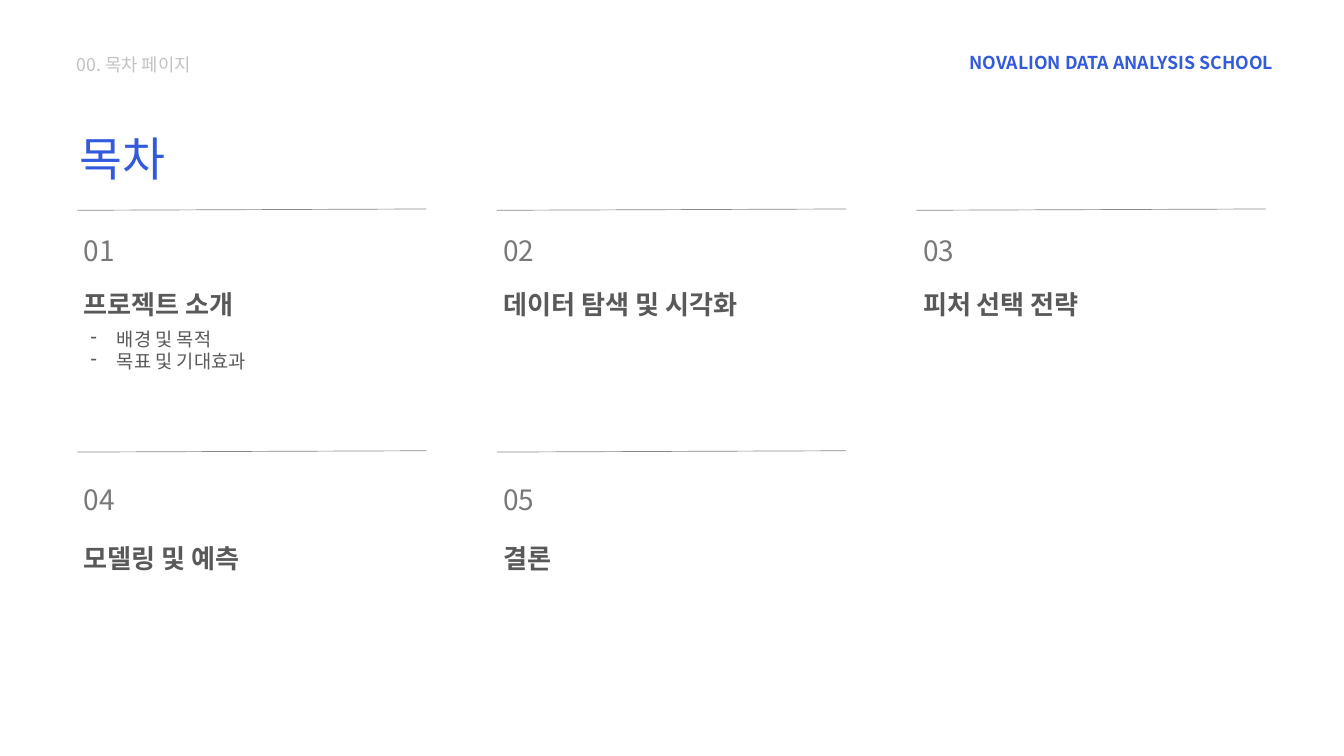
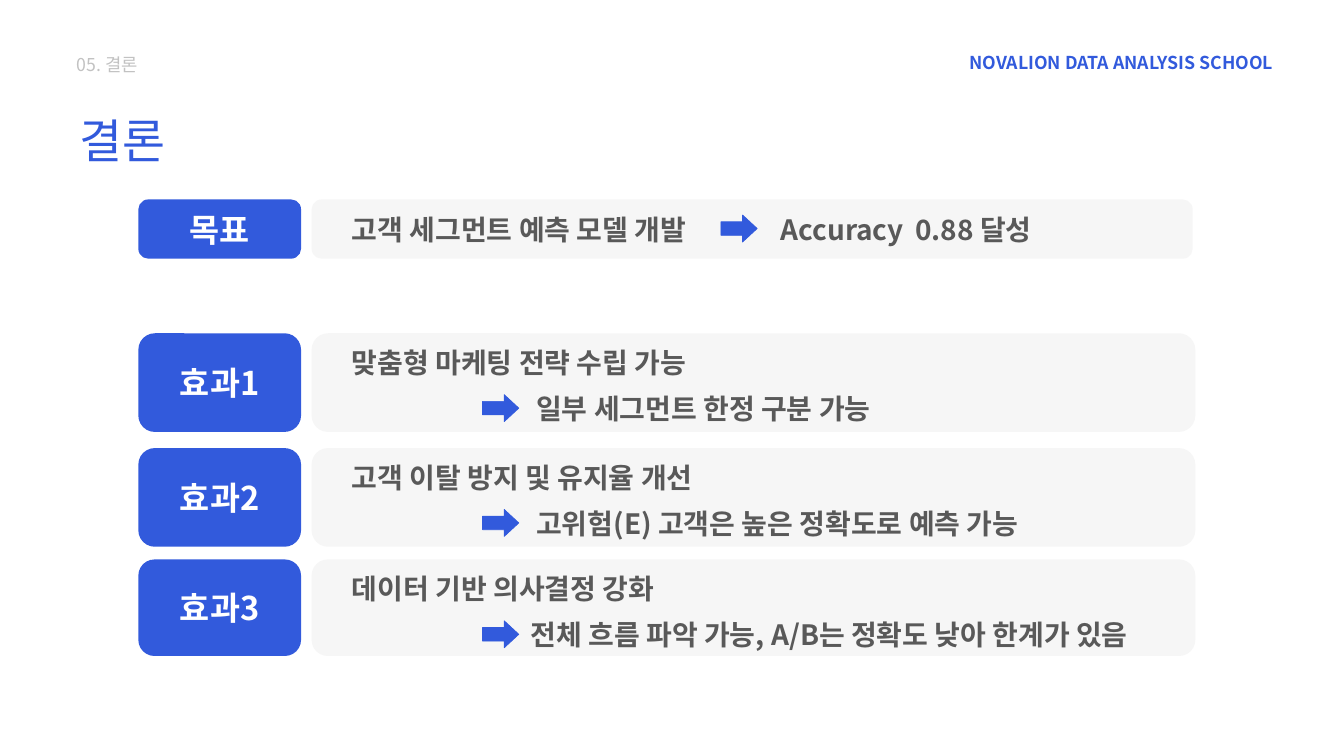
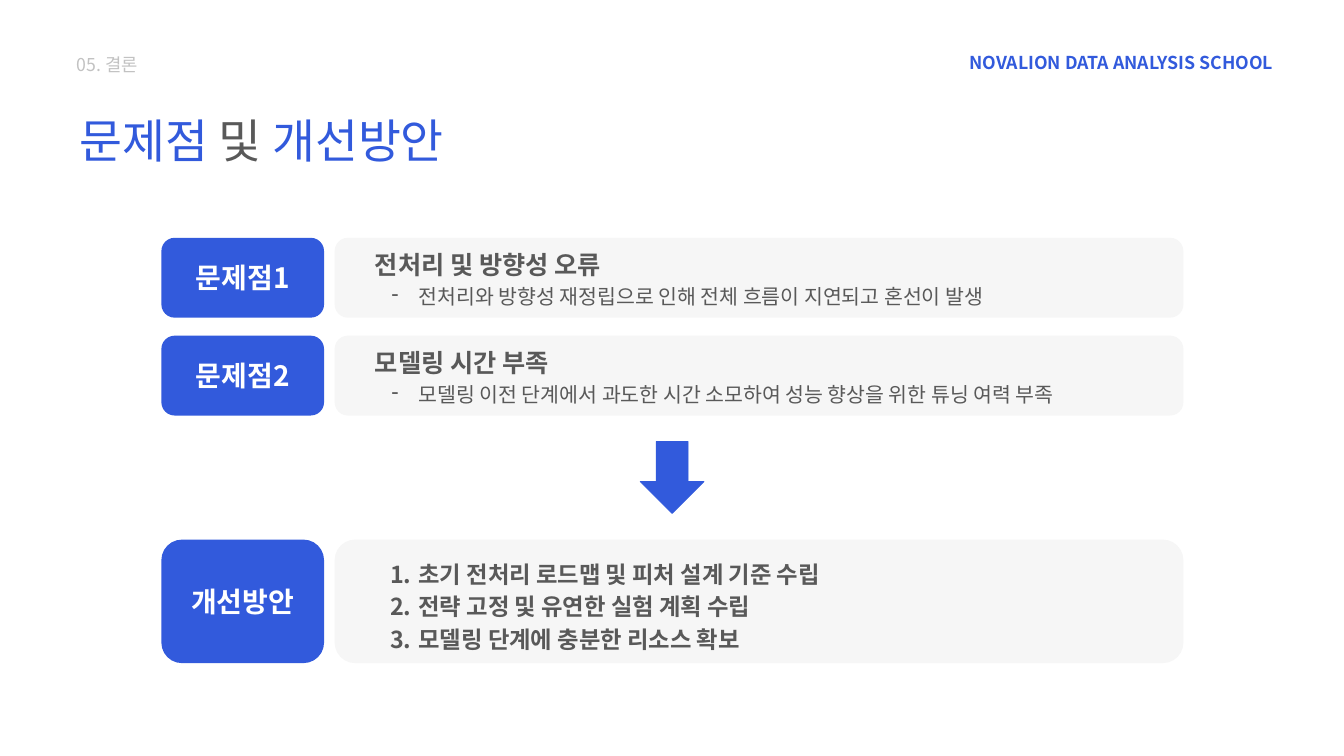
from lxml import etree
from pptx import Presentation
from pptx.dml.color import RGBColor
from pptx.enum import shapes, text
from pptx.oxml import ns
from pptx.util import Cm, Pt

FONT = "Noto Sans CJK KR"
COLORS = {
    "blue": "325ADC",
    "panel": "F6F6F6",
    "body": "595959",
    "number": "787878",
    "section": "C2C2C2",
    "rule": "888888",
    "white": "FFFFFF",
}
SCHOOL = "NOVALION DATA ANALYSIS SCHOOL"
INSET = 0.25
BADGE_WIDTH = 6.15
PANEL_OFFSET = 6.55  # from badge left to panel left


def color(name):
    return RGBColor.from_string(COLORS[name])


# --- Text ---

def style_run(run, size, color_name, bold=False):
    run.font.size = Pt(size)
    run.font.bold = bold
    run.font.color.rgb = color(color_name)
    run.font.name = FONT
    east_asian = etree.SubElement(run.font._element, ns.qn("a:ea"))
    east_asian.set("typeface", FONT)


def set_indent(paragraph, left, hanging=0.0, bullet=None):
    """Indent a paragraph; bullet is a character or "number"."""
    properties = paragraph._p.get_or_add_pPr()
    properties.set("marL", str(Cm(left)))
    properties.set("indent", str(Cm(-hanging)))
    if bullet:
        bullet_color = etree.SubElement(properties, ns.qn("a:buClr"))
        etree.SubElement(bullet_color, ns.qn("a:srgbClr")).set("val", COLORS["body"])
    if bullet == "number":
        etree.SubElement(properties, ns.qn("a:buAutoNum")).set("type", "arabicPeriod")
    elif bullet:
        etree.SubElement(properties, ns.qn("a:buChar")).set("char", bullet)


def add_box(slide, left, top, width, height, inset=INSET):
    box = slide.shapes.add_textbox(Cm(left), Cm(top), Cm(width), Cm(height))
    frame = box.text_frame
    frame.word_wrap = True
    frame.margin_left = frame.margin_right = Cm(inset)
    frame.margin_top = frame.margin_bottom = Cm(inset)
    return frame


def add_text(slide, content, left, top, width, height, size, color_name="body",
             bold=False, inset=INSET, spacing=None, indent=None):
    frame = add_box(slide, left, top, width, height, inset)
    frame.text = content
    for paragraph in frame.paragraphs:
        if spacing:
            paragraph.line_spacing = spacing
        if indent:
            set_indent(paragraph, *indent)
        for run in paragraph.runs:
            style_run(run, size, color_name, bold)


def add_statement(slide, content, left, top, width, size=30, indent=None):
    add_text(slide, content, left, top, width, 1.68, size, bold=True, indent=indent)


# --- Shapes ---

def add_filled(slide, kind, left, top, width, height, color_name):
    shape = slide.shapes.add_shape(kind, Cm(left), Cm(top), Cm(width), Cm(height))
    shape.shadow.inherit = False
    shape.fill.solid()
    shape.fill.fore_color.rgb = color(color_name)
    shape.line.fill.background()
    return shape


def add_arrow(slide, kind, left, top, width, height, head):
    arrow = add_filled(slide, kind, left, top, width, height, "blue")
    arrow.adjustments[1] = head
    arrow.line.color.rgb = color("blue")
    arrow.line.width = Pt(0.75)


def add_right_arrow(slide, left, top):
    add_arrow(slide, shapes.MSO_SHAPE.RIGHT_ARROW, left, top, 1.37, 1.02, 0.54)


def add_badge_row(slide, label, left, top, height, panel_width, label_size):
    """A blue badge with its label, and the grey panel beside it."""
    rounded = shapes.MSO_SHAPE.ROUNDED_RECTANGLE
    add_filled(slide, rounded, left + PANEL_OFFSET, top, panel_width, height, "panel")
    badge = add_filled(slide, rounded, left, top, BADGE_WIDTH, height, "blue")
    frame = badge.text_frame
    frame.text = label
    frame.vertical_anchor = text.MSO_ANCHOR.MIDDLE
    frame.paragraphs[0].alignment = text.PP_ALIGN.CENTER
    style_run(frame.paragraphs[0].runs[0], label_size, "white", bold=True)


def add_rule(slide, left, top, width):
    rule = slide.shapes.add_connector(
        shapes.MSO_CONNECTOR.STRAIGHT,
        Cm(left), Cm(top), Cm(left + width), Cm(top - 0.05))
    rule.line.color.rgb = color("rule")
    rule.line.width = Pt(0.75)
    etree.SubElement(rule._element.spPr, ns.qn("a:effectLst"))


# --- Shared slide frame ---

def add_slide(presentation, section, title, title_top=3.89):
    """A blank slide with header and title; title is (text, color) pairs."""
    slide = presentation.slides.add_slide(presentation.slide_layouts[6])
    add_text(slide, SCHOOL, 36.65, 1.83, 12.5, 0.91, 19, "blue",
             bold=True, inset=0, spacing=1.16)
    add_text(slide, section, 2.9, 1.9, 11.15, 0.81, 19, "section",
             inset=0, spacing=1.16)
    paragraph = add_box(slide, 3, title_top, 20.9, 1.93, inset=0).paragraphs[0]
    paragraph.line_spacing = 1.16
    for content, color_name in title:
        run = paragraph.add_run()
        run.text = content
        style_run(run, 50, color_name)
    return slide


# --- Slides ---

def build_contents(presentation):
    slide = add_slide(presentation, "00. 목차 페이지", [("목차", "blue")], 4.57)
    chapters = ["프로젝트 소개", "데이터 탐색 및 시각화", "피처 선택 전략",
                "모델링 및 예측", "결론"]
    row_tops = [(7.95, 8.59, 10.64), (17.09, 17.98, 20.27)]
    for index, chapter in enumerate(chapters):
        row, column = divmod(index, 3)
        rule_top, number_top, chapter_top = row_tops[row]
        left = 2.92 + column * 15.86
        add_rule(slide, left, rule_top, 13.2)
        add_text(slide, f"{index + 1:02}", left, number_top, 4.09, 1.42, 30, "number")
        add_text(slide, chapter, left, chapter_top, 12.73, 2.21, 28, bold=True)
    add_text(slide, "배경 및 목적\n목표 및 기대효과", 2.9, 12.14, 8.89, 2.77, 20,
             indent=(1.27, 0.99, "-"))


def build_conclusion(presentation):
    slide = add_slide(presentation, "05. 결론", [("결론", "blue")])
    badge_left = 5.23
    statement_left = badge_left + PANEL_OFFSET

    # Goal and its result
    add_badge_row(slide, "목표", badge_left, 7.54, 2.24, 33.3, 35)
    add_statement(slide, "고객 세그먼트 예측 모델 개발", statement_left, 7.8, 16.1,
                  indent=(1.27,))
    add_right_arrow(slide, 27.25, 8.13)
    add_statement(slide, "Accuracy\t0.88 달성", 29.26, 7.8, 10.59)

    # Effects: label, top, height, statement, result, left of result
    effects = [
        ("효과1", 12.6, 3.73, "맞춤형 마케팅 전략 수립 가능",
         "일부 세그먼트 한정 구분 가능", 20.02),
        ("효과2", 16.94, 3.73, "고객 이탈 방지 및 유지율 개선",
         "고위험(E) 고객은 높은 정확도로 예측 가능", 20.02),
        ("효과3", 21.15, 3.65, "데이터 기반 의사결정 강화",
         "전체 흐름 파악 가능, A/B는 정확도 낮아 한계가 있음", 19.81),
    ]
    for label, top, height, statement, result, result_left in effects:
        add_badge_row(slide, label, badge_left, top, height, 33.4, 35)
        add_statement(slide, statement, statement_left, top + 0.22, 16.1, indent=(1.27,))
        add_right_arrow(slide, 18.24, top + 2.32)
        add_statement(slide, result, result_left, top + 1.95, 24.6)


def build_improvements(presentation):
    slide = add_slide(presentation, "05. 결론", [
        ("문제점 ", "blue"), ("및 ", "body"), ("개선방안", "blue")])
    badge_left, panel_width, detail_left = 6.1, 32.08, 14.3

    # Problems
    problems = [
        ("문제점1", "전처리 및 방향성 오류",
         "전처리와 방향성 재정립으로 인해 전체 흐름이 지연되고 혼선이 발생"),
        ("문제점2", "모델링 시간 부족",
         "모델링 이전 단계에서 과도한 시간 소모하여 성능 향상을 위한 튜닝 여력 부족"),
    ]
    for index, (label, problem, detail) in enumerate(problems):
        top = 8.99 + index * 3.7
        add_badge_row(slide, label, badge_left, top, 3.02, panel_width, 30)
        add_statement(slide, problem, badge_left + PANEL_OFFSET, top + 0.18, 19.86,
                      size=27, indent=(1.27,))
        add_text(slide, detail, detail_left, top + 1.5, 30.4, 1.35, 22,
                 indent=(1.27, 1.02, "-"))

    # Improvement plan
    add_arrow(slide, shapes.MSO_SHAPE.DOWN_ARROW, 24.2, 16.69, 2.41, 2.72, 0.5)
    add_badge_row(slide, "개선방안", badge_left, 20.4, 4.67, panel_width, 30)
    plan = ["초기 전처리 로드맵 및 피처 설계 기준 수립",
            "전략 고정 및 유연한 실험 계획 수립",
            "모델링 단계에 충분한 리소스 확보"]
    add_text(slide, "\n".join(plan), detail_left, 20.78, 17.9, 3.78, 25, bold=True,
             spacing=1.15, indent=(1.27, 1.07, "number"))


def main():
    presentation = Presentation()
    presentation.slide_width = Cm(50.8)
    presentation.slide_height = Cm(28.58)
    build_contents(presentation)
    build_conclusion(presentation)
    build_improvements(presentation)
    presentation.save("out.pptx")


if __name__ == "__main__":
    main()
